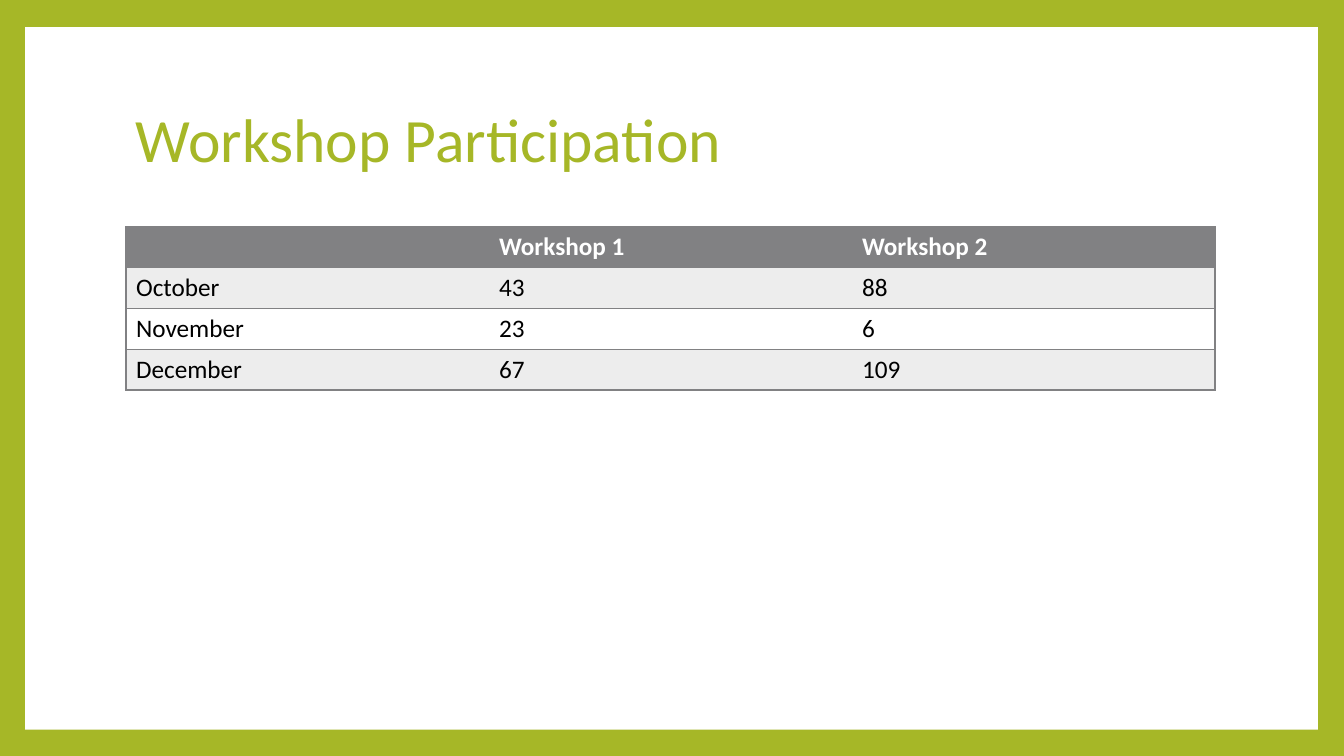
from dataclasses import dataclass

from lxml.etree import SubElement
from pptx import Presentation
from pptx.dml.color import RGBColor
from pptx.enum.shapes import MSO_SHAPE
from pptx.enum.text import MSO_ANCHOR
from pptx.oxml.ns import qn
from pptx.slide import Slide
from pptx.table import _Cell
from pptx.text.text import _Paragraph
from pptx.util import Inches, Pt

FONT = "Calibri"
COLORS = {
    "green": "A6B727",
    "white": "FFFFFF",
    "gray": "818183",
    "band": "EDEDED",
    "black": "000000",
}


@dataclass(frozen=True)
class TableRow:
    values: tuple[str, str, str]
    fill: str = "white"
    color: str = "black"
    bold: bool = False


ROWS = [
    TableRow(("", "Workshop 1", "Workshop 2"), "gray", "white", True),
    TableRow(("October", "43", "88"), "band"),
    TableRow(("November", "23", "6")),
    TableRow(("December", "67", "109"), "band"),
]


def rgb(name: str) -> RGBColor:
    return RGBColor.from_string(COLORS[name])


def format_runs(paragraph: _Paragraph, size: int, color: str, bold: bool = False) -> None:
    for run in paragraph.runs:
        run.font.name = FONT
        run.font.size = Pt(size)
        run.font.bold = bold
        run.font.color.rgb = rgb(color)


def add_borders(cell: _Cell, first: bool, last: bool) -> None:
    properties = cell._tc.get_or_add_tcPr()
    sides = {"lnL": first, "lnR": last, "lnT": True, "lnB": True}
    for side, visible in sides.items():
        line = SubElement(properties, qn(f"a:{side}"), w=str(Pt(1)))
        if visible:
            fill = SubElement(line, qn("a:solidFill"))
            SubElement(fill, qn("a:srgbClr"), val=COLORS["gray"])
        else:
            SubElement(line, qn("a:noFill"))


def add_panel(slide: Slide) -> None:
    background = slide.background.fill
    background.solid()
    background.fore_color.rgb = rgb("green")
    panel = slide.shapes.add_shape(
        MSO_SHAPE.RECTANGLE, Inches(0.25), Inches(0.27), Inches(12.82), Inches(6.97)
    )
    panel.shadow.inherit = False
    panel.fill.solid()
    panel.fill.fore_color.rgb = rgb("white")
    panel.line.fill.background()


def add_title(slide: Slide, text: str) -> None:
    title = slide.shapes.add_textbox(
        Inches(1.25), Inches(0.67), Inches(10.8), Inches(1.48)
    )
    text_frame = title.text_frame
    text_frame.word_wrap = True
    text_frame.vertical_anchor = MSO_ANCHOR.MIDDLE
    text_frame.text = text
    paragraph = text_frame.paragraphs[0]
    paragraph.line_spacing = 0.9
    format_runs(paragraph, 44, "green")


def add_participation_table(slide: Slide, rows: list[TableRow]) -> None:
    column_count = len(rows[0].values)
    table = slide.shapes.add_table(
        len(rows), column_count, Inches(1.25), Inches(2.25), Inches(10.8), Inches(1.62)
    ).table
    for row_index, row in enumerate(rows):
        for column_index, value in enumerate(row.values):
            cell = table.cell(row_index, column_index)
            cell.text_frame.text = value
            format_runs(cell.text_frame.paragraphs[0], 18, row.color, row.bold)
            add_borders(cell, column_index == 0, column_index == column_count - 1)
            cell.fill.solid()
            cell.fill.fore_color.rgb = rgb(row.fill)


def main() -> None:
    presentation = Presentation()
    presentation.slide_width = Inches(13.33)
    presentation.slide_height = Inches(7.5)
    slide = presentation.slides.add_slide(presentation.slide_layouts[6])
    add_panel(slide)
    add_title(slide, "Workshop Participation")
    add_participation_table(slide, ROWS)
    presentation.save("out.pptx")


if __name__ == "__main__":
    main()
